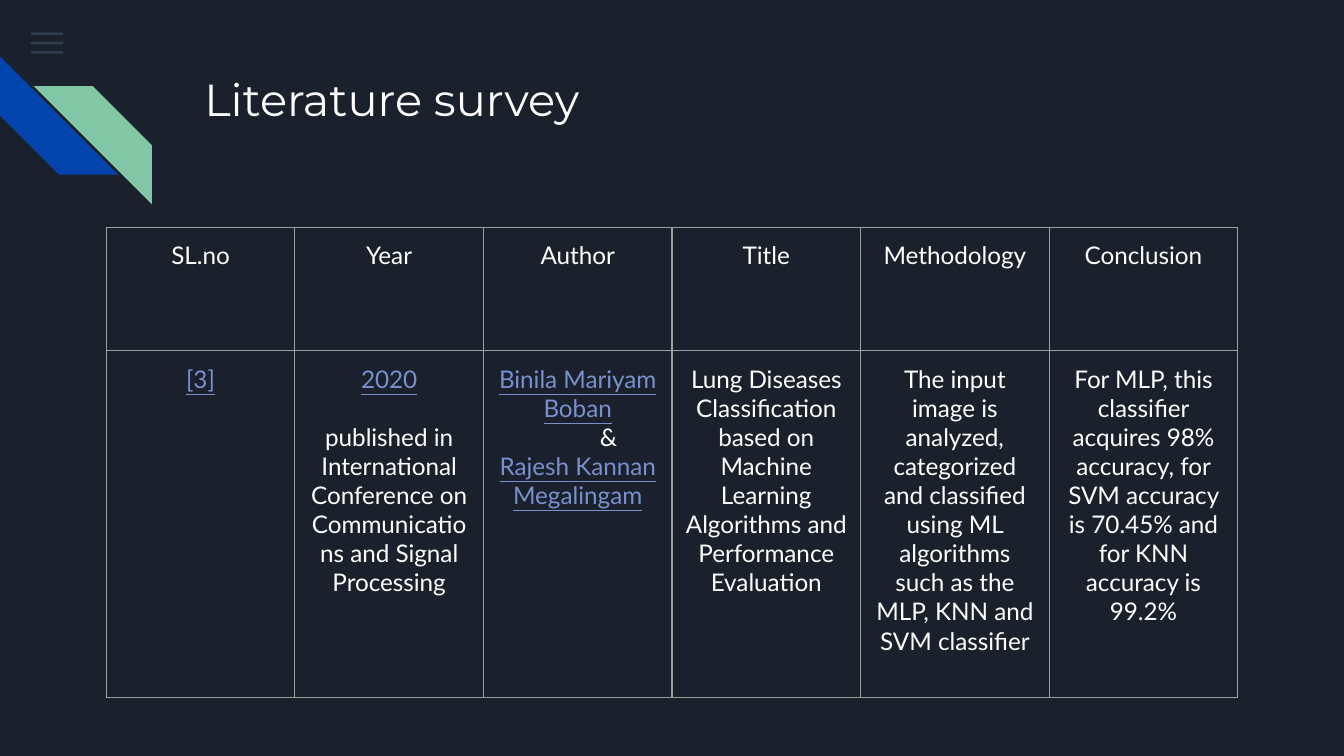
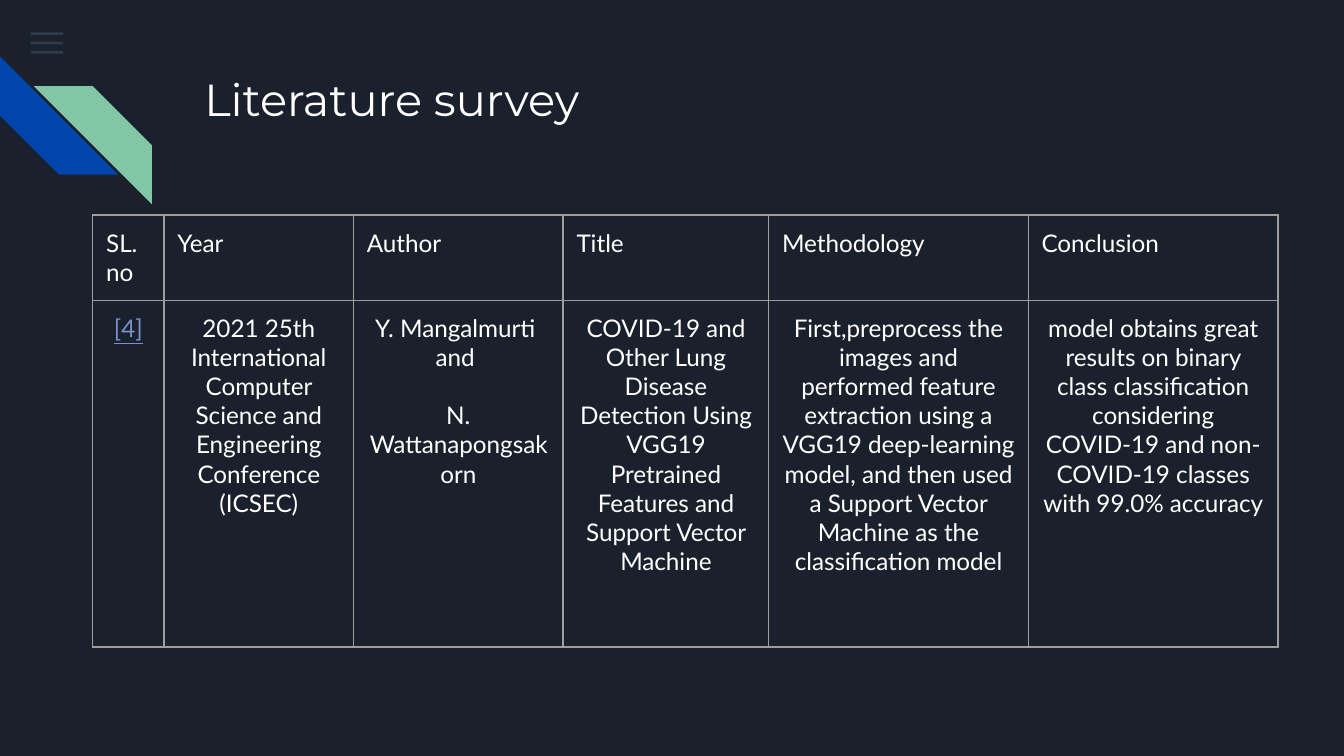
from typing import NamedTuple

from lxml import etree
from pptx import Presentation
from pptx.dml.color import RGBColor
from pptx.enum import shapes, text
from pptx.oxml import ns
from pptx.util import Inches, Pt

NIGHT = RGBColor(0x1B, 0x21, 0x2C)
SLATE = RGBColor(0x55, 0x68, 0x8B)
BLUE = RGBColor(0x01, 0x45, 0xAC)
GREEN = RGBColor(0x82, 0xC7, 0xA5)
WHITE = RGBColor(0xFF, 0xFF, 0xFF)
LINK = RGBColor(0x78, 0x90, 0xCD)
GREY = RGBColor(0x9E, 0x9E, 0x9E)

HEAD_FONT, BODY_FONT = "Montserrat", "Lato"
INSET = Inches(0.1)
LINE = Pt(15.6)
LEFT, CENTER = text.PP_ALIGN.LEFT, text.PP_ALIGN.CENTER
HEADS = ("SL.no", "Year", "Author", "Title", "Methodology", "Conclusion")


class Para(NamedTuple):
    words: str
    link: bool = False
    gap: int = 0
    indent: float = 0


class Survey(NamedTuple):
    left: float
    top: float
    cols: tuple
    rows: tuple
    align: text.PP_ALIGN
    cells: tuple


SURVEYS = (
    Survey(0.79, 1.69, (8.42 / 6,) * 6, (0.92, 2.58), CENTER, (
        [Para("[3]", link=True)],
        [Para("2020", link=True),
         Para("published in International Conference on Communications "
              "and Signal Processing", gap=1)],
        [Para("Binila Mariyam Boban", link=True),
         Para("&", indent=0.46),
         Para("Rajesh Kannan Megalingam", link=True)],
        [Para("Lung Diseases Classification based on Machine Learning "
              "Algorithms and Performance Evaluation")],
        [Para("The input image is analyzed, categorized and classified using "
              "ML algorithms such as the MLP, KNN and SVM classifier")],
        [Para("For MLP, this classifier acquires 98% accuracy, for SVM "
              "accuracy is 70.45% and for KNN accuracy is 99.2%")],
    )),
    Survey(0.69, 1.6, (0.53, 1.41, 1.56, 1.53, 1.93, 1.86), (0.63, 2.58), LEFT, (
        [Para("[4]", link=True)],
        [Para("2021 25th International Computer Science and Engineering "
              "Conference (ICSEC)")],
        [Para("Y. Mangalmurti "), Para("and "),
         Para("N. Wattanapongsakorn", gap=1)],
        [Para("COVID-19 and Other Lung Disease Detection Using VGG19 "
              "Pretrained Features and Support Vector Machine")],
        [Para("First,preprocess the images and performed feature extraction "
              "using a VGG19 deep-learning model, and then used a Support "
              "Vector Machine as the classification model")],
        [Para("model obtains great results on binary class classification "
              "considering COVID-19 and non-COVID-19 classes with 99.0% "
              "accuracy")],
    )),
)


def add_run(para, words, font, size, color):
    run = para.add_run()
    run.text = words
    run.font.name, run.font.size = font, Pt(size)
    run.font.color.rgb = color
    return run


def set_inset(box):
    box.margin_left = box.margin_right = INSET
    box.margin_top = box.margin_bottom = INSET


def add_plain(slide, kind, left, top, width, height, color):
    """Add a preset shape with a flat fill, no line and no shadow."""
    shape = slide.shapes.add_shape(
        kind, Inches(left), Inches(top), Inches(width), Inches(height))
    shape.shadow.inherit = False
    shape.fill.solid()
    shape.fill.fore_color.rgb = color
    shape.line.fill.background()
    return shape


def add_menu(slide, left, top):
    for i in range(3):
        bar = add_plain(slide, shapes.MSO_SHAPE.RECTANGLE,
                        left, top + 0.07 * i, 0.24, 0.02, SLATE)
        color = bar.fill._xPr.find(".//" + ns.qn("a:srgbClr"))
        etree.SubElement(color, ns.qn("a:alpha"), val="36000")


def add_stripes(slide, left, top, size=0.88):
    kind = shapes.MSO_SHAPE.DIAGONAL_STRIPE
    low = add_plain(slide, kind, left, top, size, size, BLUE)
    low.rotation = 270
    high = add_plain(slide, kind, left + 0.25, top + 0.22, size, size, GREEN)
    high._element.spPr.get_or_add_xfrm().set("flipH", "1")


def add_title(slide, words):
    title = slide.shapes.title
    title.left, title.top = Inches(1.42), Inches(0.43)
    title.width, title.height = Inches(7.7), Inches(1)
    frame = title.text_frame
    set_inset(frame)
    frame.word_wrap = True
    frame.auto_size = text.MSO_AUTO_SIZE.NONE
    frame.vertical_anchor = text.MSO_ANCHOR.TOP
    para = frame.paragraphs[0]
    para.alignment = LEFT
    add_run(para, words, HEAD_FONT, 24, WHITE)


def add_borders(cell):
    props = cell._tc.get_or_add_tcPr()
    for i, side in enumerate("LRTB"):
        line = etree.Element(ns.qn("a:ln" + side), w=str(Pt(0.75)))
        fill = etree.SubElement(line, ns.qn("a:solidFill"))
        etree.SubElement(fill, ns.qn("a:srgbClr"), val=str(GREY))
        props.insert(i, line)


def fill_cell(cell, paras, align):
    set_inset(cell)
    cell.vertical_anchor = text.MSO_ANCHOR.TOP
    cell.fill.background()
    add_borders(cell)
    frame = cell.text_frame
    for i, item in enumerate(paras):
        para = frame.add_paragraph() if i else frame.paragraphs[0]
        para.alignment = align
        if item.gap:
            para.space_before = LINE * item.gap
        if item.indent:
            para._p.get_or_add_pPr().set("marL", str(Inches(item.indent)))
        run = add_run(para, item.words, BODY_FONT, 13,
                      LINK if item.link else WHITE)
        run.font.underline = item.link


def add_survey(slide, survey):
    table = slide.shapes.add_table(
        len(survey.rows), len(survey.cols),
        Inches(survey.left), Inches(survey.top),
        Inches(sum(survey.cols)), Inches(sum(survey.rows))).table
    table.first_row = table.horz_banding = False
    for row, height in zip(table.rows, survey.rows):
        row.height = Inches(height)
    for i, width in enumerate(survey.cols):
        table.columns[i].width = Inches(width)
        fill_cell(table.cell(0, i), [Para(HEADS[i])], survey.align)
        fill_cell(table.cell(1, i), survey.cells[i], CENTER)


def add_page(deck, survey):
    slide = deck.slides.add_slide(deck.slide_layouts[5])
    add_menu(slide, 0.23, 0.24)
    add_stripes(slide, 0, 0.42)
    add_title(slide, "Literature survey")
    add_survey(slide, survey)


def main():
    deck = Presentation()
    deck.slide_width, deck.slide_height = Inches(10), Inches(10 * 9 / 16)
    back = deck.slide_master.background.fill
    back.solid()
    back.fore_color.rgb = NIGHT
    for survey in SURVEYS:
        add_page(deck, survey)
    deck.save("out.pptx")


if __name__ == "__main__":
    main()
